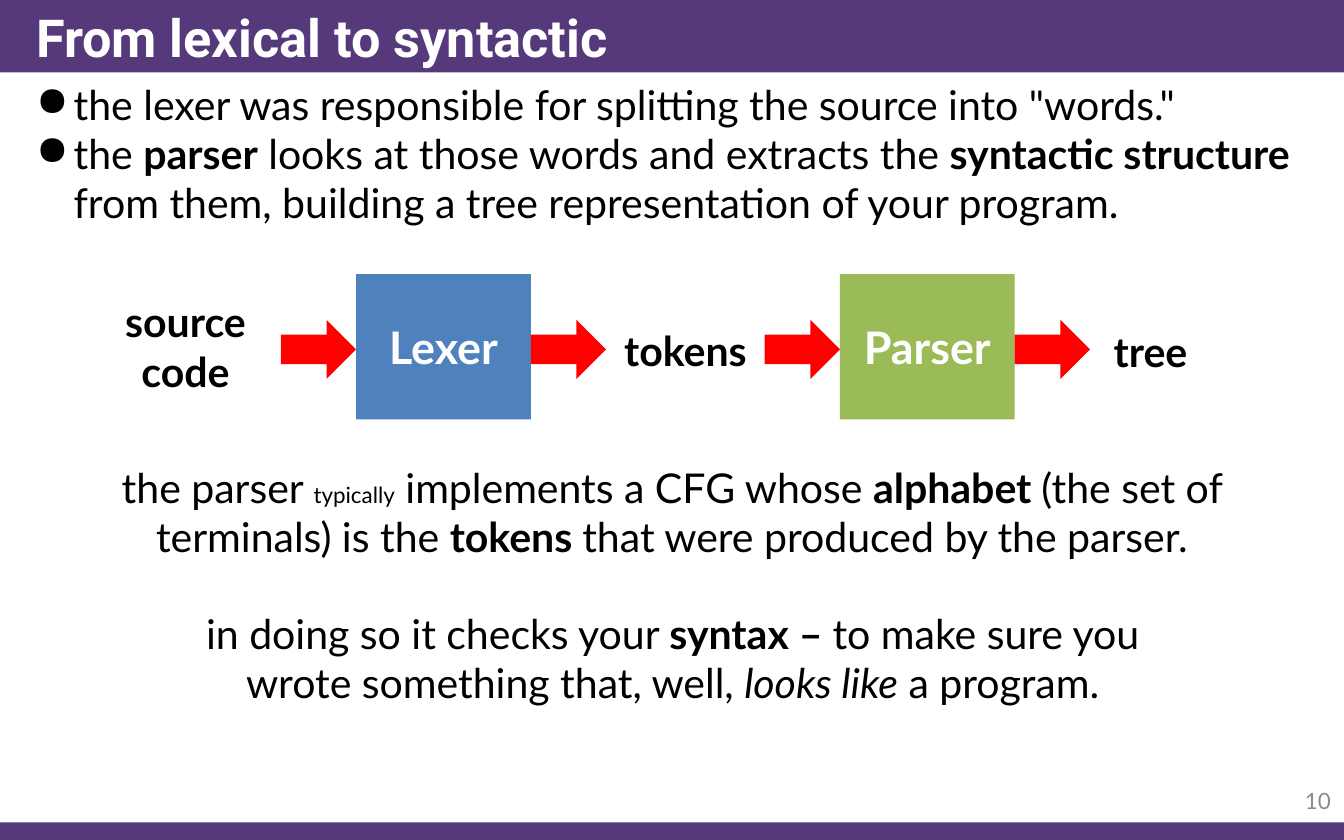
from dataclasses import dataclass

from lxml import etree
from pptx import Presentation
from pptx.dml.color import RGBColor
from pptx.enum.shapes import MSO_SHAPE as Shape
from pptx.enum.text import MSO_ANCHOR as Anchor, PP_ALIGN as Align
from pptx.oxml.ns import qn
from pptx.util import Inches, Pt


@dataclass(frozen=True)
class Theme:
    purple: str = "56397B"
    blue: str = "4F81BD"
    green: str = "9BBB59"
    red: str = "FF0000"
    black: str = "000000"
    white: str = "FFFFFF"
    gray: str = "8C8C8C"
    heading_font: str = "Roboto"
    body_font: str = "Lato"
    title_size: int = 28
    block_size: int = 24
    body_size: int = 22
    small_size: int = 12


THEME = Theme()
BOLD = {"bold": True}
ITALIC = {"italic": True}
SMALL = {"size": THEME.small_size}


class SlideBuilder:
    def __init__(self, slide, theme):
        self.slide = slide
        self.theme = theme

    def _format(self, font, values):
        base = {"name": self.theme.body_font, "size": self.theme.body_size,
                "color": self.theme.black}
        for name, value in {**base, **values}.items():
            if name == "color":
                font.color.rgb = RGBColor.from_string(value)
            else:
                setattr(font, name, Pt(value) if name == "size" else value)

    def _bullet(self, paragraph, indent=0.28):
        properties = paragraph._p.get_or_add_pPr()
        properties.set("marL", str(Inches(indent)))
        properties.set("indent", str(Inches(-indent)))
        etree.SubElement(properties, qn("a:buChar")).set("char", "●")

    def _write(self, frame, paragraphs, align, anchor, bullets=False, **style):
        """Fill a frame; each paragraph is a list of (text, format) runs."""
        frame.word_wrap = True
        frame.vertical_anchor = anchor
        for index, runs in enumerate(paragraphs):
            paragraph = frame.add_paragraph() if index else frame.paragraphs[0]
            paragraph.alignment = align
            if bullets:
                self._bullet(paragraph)
            for text, changes in runs:
                run = paragraph.add_run()
                run.text = text
                self._format(run.font, {**style, **changes})

    def text(self, box, paragraphs, align=Align.CENTER, anchor=Anchor.TOP, **style):
        shape = self.slide.shapes.add_textbox(*map(Inches, box))
        self._write(shape.text_frame, paragraphs, align, anchor, **style)

    def label(self, box, text, **style):
        self.text(box, [[(text, {})]], **style)

    def shape(self, kind, box, color):
        shape = self.slide.shapes.add_shape(kind, *map(Inches, box))
        shape.shadow.inherit = False
        shape.fill.solid()
        shape.fill.fore_color.rgb = RGBColor.from_string(color)
        shape.line.fill.background()
        return shape

    def block(self, box, text, color):
        shape = self.shape(Shape.RECTANGLE, box, color)
        self._write(shape.text_frame, [[(text, {})]], Align.CENTER, Anchor.MIDDLE,
                    size=self.theme.block_size, color=self.theme.white, bold=True)

    def stage(self, left, text, color):
        """A processing block with an arrow going in and one coming out."""
        top, width, height = 2.04, 1.3, 1.08
        arrow_width, arrow_height = 0.56, 0.44
        self.block((left, top, width, height), text, color)
        arrow_top = top + (height - arrow_height) / 2 + 0.02
        for arrow_left in (left - arrow_width, left + width):
            self.shape(Shape.RIGHT_ARROW,
                       (arrow_left, arrow_top, arrow_width, arrow_height),
                       self.theme.red)


def main():
    presentation = Presentation()
    presentation.slide_width = Inches(10)
    presentation.slide_height = Inches(6.25)
    slide = presentation.slides.add_slide(presentation.slide_layouts[6])
    builder = SlideBuilder(slide, THEME)

    for top, height in ((6.12, 0.13), (0, 0.54)):
        builder.shape(Shape.RECTANGLE, (0, top, 10, height), THEME.purple)
    builder.label((0.17, 0, 9.83, 0.54), "From lexical to syntactic",
                  align=Align.LEFT, anchor=Anchor.MIDDLE, bold=True,
                  name=THEME.heading_font, size=THEME.title_size, color=THEME.white)
    builder.label((9.25, 5.79, 0.75, 0.33), "10", align=Align.RIGHT,
                  anchor=Anchor.MIDDLE, size=THEME.small_size, color=THEME.gray)

    builder.text((0.17, 0.54, 9.83, 1.25), [
        [('the lexer was responsible for splitting the source into "words."', {})],
        [("the ", {}), ("parser", BOLD),
         (" looks at those words and extracts the ", {}),
         ("syntactic structure ", BOLD),
         ("from them, building a tree representation of your program.", {})],
    ], align=Align.LEFT, bullets=True)

    builder.stage(2.65, "Lexer", THEME.blue)
    builder.stage(6.25, "Parser", THEME.green)
    for box, text in (((0.67, 2.16, 1.42, 0.84), "source code"),
                      ((4.39, 2.37, 1.42, 0.47), "tokens"),
                      ((8.12, 2.38, 0.88, 0.47), "tree")):
        builder.label(box, text, bold=True)

    builder.text((0.67, 3.39, 8.66, 0.84), [[
        ("the parser ", {}), ("typically", SMALL),
        (" implements a CFG whose ", {}), ("alphabet ", BOLD),
        ("(the set of terminals) is the ", {}), ("tokens ", BOLD),
        ("that were produced by the parser.", {}),
    ]])
    builder.text((1.11, 4.48, 7.79, 0.84), [[
        ("in doing so it checks your ", {}), ("syntax – ", BOLD),
        ("to make sure you wrote something that, well, ", {}),
        ("looks like", ITALIC), (" a program.", {}),
    ]])

    presentation.save("out.pptx")


if __name__ == "__main__":
    main()
